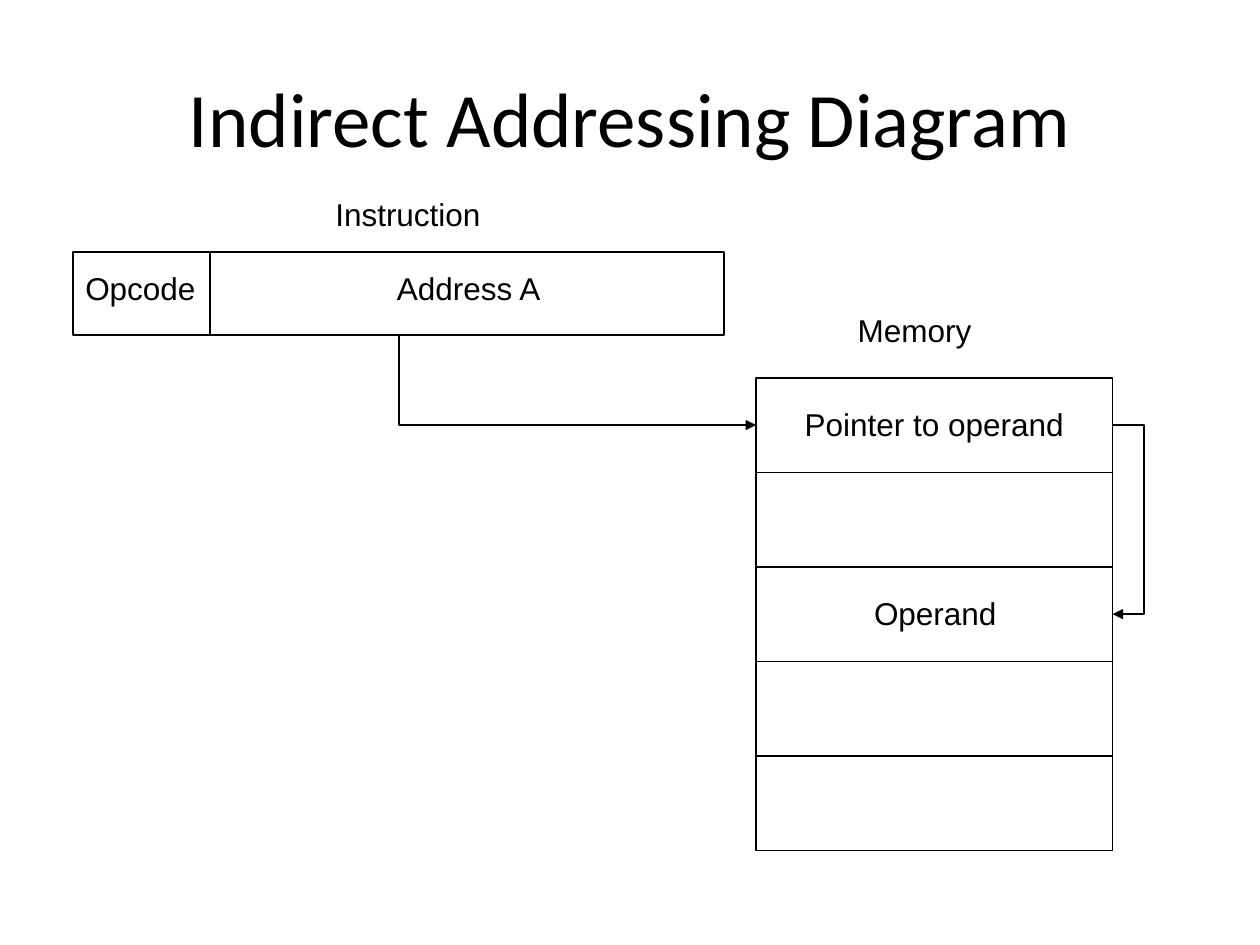
import pptx
import pptx.util
import pptx.dml.color
import pptx.enum.shapes
import pptx.enum.text
import lxml.etree
from pptx.util import Cm, Pt

BLACK = pptx.dml.color.RGBColor(0, 0, 0)
WHITE = pptx.dml.color.RGBColor(255, 255, 255)
RECT = pptx.enum.shapes.MSO_SHAPE.RECTANGLE
LINE = pptx.enum.shapes.MSO_CONNECTOR.STRAIGHT
A = "{http://schemas.openxmlformats.org/drawingml/2006/main}"


def ink(shape):
    shape.line.color.rgb = BLACK
    shape.line.width = Pt(1)


def style(frame, text, face, size):
    frame.text = text
    font = frame.paragraphs[0].runs[0].font
    font.name = face
    font.size = Pt(size)
    font.color.rgb = BLACK


deck = pptx.Presentation()
deck.slide_width = Cm(25.4)
deck.slide_height = Cm(19.05)
slide = deck.slides.add_slide(deck.slide_layouts[5])
slide.background.fill.solid()
slide.background.fill.fore_color.rgb = WHITE
shapes = slide.shapes

title = shapes.title
title.left, title.top = Cm(1.27), Cm(0.76)
title.width, title.height = Cm(22.86), Cm(3.18)
style(title.text_frame, "Indirect Addressing Diagram", "Calibri", 44)
title.text_frame.vertical_anchor = pptx.enum.text.MSO_ANCHOR.MIDDLE
title.text_frame.paragraphs[0].alignment = pptx.enum.text.PP_ALIGN.CENTER

cells = [(1.48, 5.08, 13.11, 1.68)]
high = 7.62 / 4
for row in range(5):
    cells.append((15.24, 7.62 + row * high, 7.19, high))
for cell in cells:
    box = shapes.add_shape(RECT, *[Cm(n) for n in cell])
    box.shadow.inherit = False
    box.fill.background()
    ink(box)

split = shapes.add_connector(LINE, Cm(4.24), Cm(5.08), Cm(4.24), Cm(6.76))
ink(split)
lxml.etree.SubElement(split._element.spPr, A + "effectLst")

routes = [
    [(8.05, 6.76), (8.05, 8.57), (15.24, 8.57)],
    [(22.43, 8.57), (23.06, 8.57), (23.06, 12.38), (22.43, 12.38)],
]
for route in routes:
    points = [(Cm(x), Cm(y)) for x, y in route]
    pen = shapes.build_freeform(*points[0])
    pen.add_line_segments(points[1:], close=False)
    arrow = pen.convert_to_shape()
    arrow.shadow.inherit = False
    arrow.fill.background()
    ink(arrow)
    lxml.etree.SubElement(arrow.line._get_or_add_ln(), A + "tailEnd", type="triangle")

labels = [
    ("Instruction", 6.51, 3.81, 3.5),
    ("Opcode", 1.47, 5.3, 2.8),
    ("Address A", 7.75, 5.3, 3.5),
    ("Memory", 17.04, 6.15, 2.9),
    ("Pointer to operand", 15.97, 8.04, 5.8),
    ("Operand", 17.37, 11.86, 3.1),
]
for text, left, top, width in labels:
    label = shapes.add_textbox(Cm(left), Cm(top), Cm(width), Cm(1.02))
    frame = label.text_frame
    style(frame, text, "Arial", 18)
    frame.word_wrap = False
    frame.auto_size = pptx.enum.text.MSO_AUTO_SIZE.SHAPE_TO_FIT_TEXT

deck.save("out.pptx")
